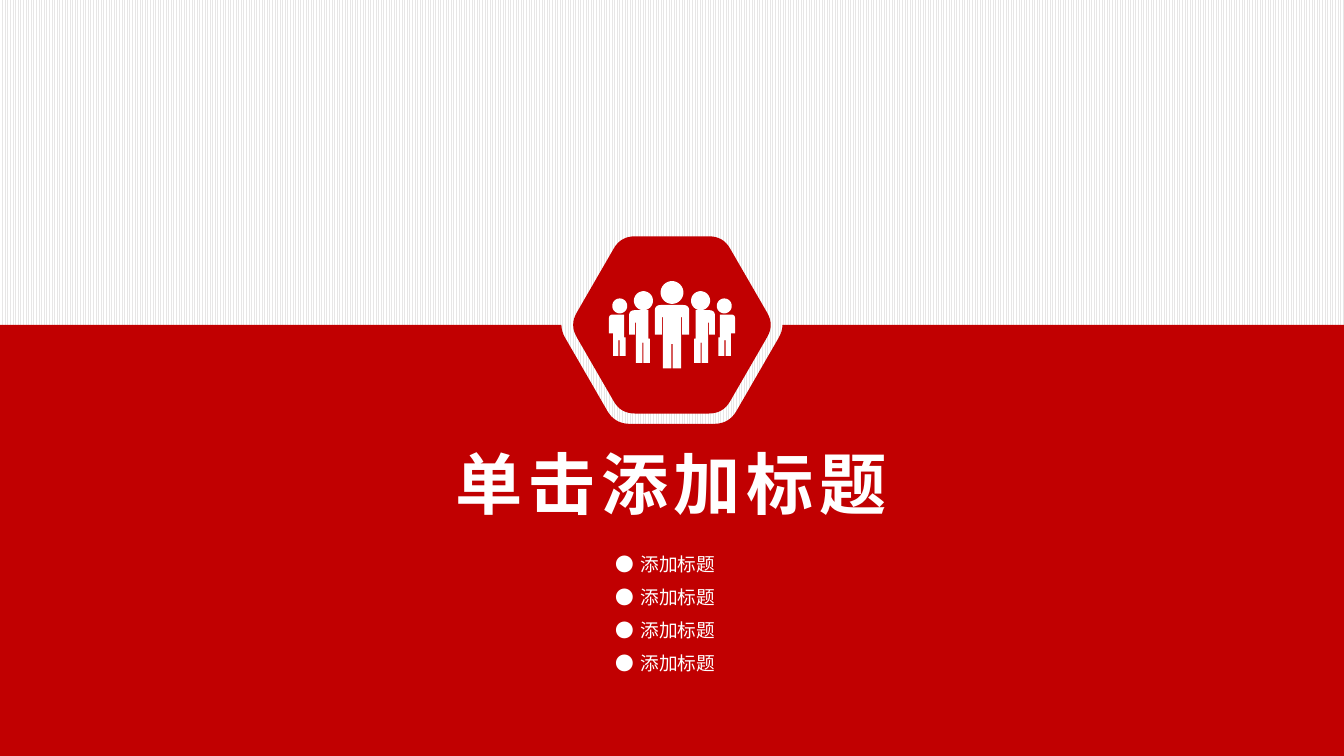
"""Build a red section slide with a team emblem, a title and four bullet lines."""
from dataclasses import dataclass
from math import cos, pi, radians, sin

from lxml.etree import SubElement
from pptx import Presentation
from pptx.dml.color import RGBColor
from pptx.enum.dml import MSO_PATTERN
from pptx.enum.text import MSO_ANCHOR as Anchor, PP_ALIGN as Align
from pptx.oxml.ns import qn
from pptx.util import Pt


@dataclass(frozen=True)
class Theme:
    red: RGBColor = RGBColor(0xC1, 0x00, 0x01)
    white: RGBColor = RGBColor(0xFF, 0xFF, 0xFF)
    stripe: RGBColor = RGBColor(0xE7, 0xE6, 0xE6)
    font: str = "Noto Sans CJK SC"
    title_size: int = 36
    item_size: int = 10


theme = Theme()
WIDTH, HEIGHT = 720, 405
MIDDLE_X, MIDDLE_Y = 360, 174.1

deck = Presentation()
deck.slide_width, deck.slide_height = Pt(WIDTH), Pt(HEIGHT)
page = deck.slides.add_slide(deck.slide_layouts[6])
backdrop = page.background.fill
backdrop.patterned()
backdrop.pattern = MSO_PATTERN.NARROW_VERTICAL
backdrop.fore_color.rgb = theme.stripe
backdrop.back_color.rgb = theme.white


def round_corners(corners, steps=8):
    """Replace each (x, y, cut) corner by a curve that starts cut points before it."""
    outline = []
    for index, (x, y, cut) in enumerate(corners):
        if not cut:
            outline.append((x, y))
            continue
        ends = []
        for near_x, near_y, _ in (corners[index - 1], corners[(index + 1) % len(corners)]):
            share = cut / ((near_x - x) ** 2 + (near_y - y) ** 2) ** 0.5
            ends.append((x + (near_x - x) * share, y + (near_y - y) * share))
        (start_x, start_y), (end_x, end_y) = ends
        for step in range(steps + 1):
            t = step / steps
            before, at, after = (1 - t) ** 2, 2 * t * (1 - t), t * t
            outline.append((before * start_x + at * x + after * end_x,
                            before * start_y + at * y + after * end_y))
    return outline


def draw_outlines(outlines, color):
    """Draw closed outlines, given in points, as one filled freeform."""
    scaled = [[(Pt(x), Pt(y)) for x, y in outline] for outline in outlines]
    builder = page.shapes.build_freeform(*scaled[0][0])
    for index, outline in enumerate(scaled):
        if index:
            builder.move_to(*outline[0])
        builder.add_line_segments(outline[1:], close=True)
    shape = builder.convert_to_shape()
    shape.shadow.inherit = False
    shape.fill.solid()
    shape.fill.fore_color.rgb = color
    shape.line.fill.background()


hexagons = []
for radius, cut in ((61.2, 8), (54.8, 7.5)):
    hexagons.append(round_corners([
        (MIDDLE_X + radius * cos(radians(angle)), MIDDLE_Y + radius * sin(radians(angle)), cut)
        for angle in range(180, -180, -60)]))
notch, badge = hexagons
lower_notch = [(x, y) for x, y in notch if y > MIDDLE_Y - 0.01]
draw_outlines([[(0, MIDDLE_Y), *lower_notch, (WIDTH, MIDDLE_Y), (WIDTH, HEIGHT), (0, HEIGHT)]],
              theme.red)
draw_outlines([badge], theme.red)

leader_half = [(9.2, 163.4, 3.2), (9.2, 179.3, 0), (5.4, 179.3, 0), (5.4, 169.9, 0),
               (4.9, 169.9, 0), (4.9, 197.4, 0), (0.4, 197.4, 0), (0.4, 184.3, 0)]
leader = leader_half + [(-x, y, cut) for x, y, cut in reversed(leader_half)]
inner_mate = [(12.7, 166.2, 0), (23, 166.2, 3), (23, 179.3, 0), (19.9, 179.3, 0),
              (19.9, 172.8, 0), (19.4, 172.8, 0), (19.4, 194.4, 0), (15.9, 194.4, 0),
              (15.9, 183.6, 0), (15.3, 183.6, 0), (15.3, 194.4, 0), (11.8, 194.4, 0),
              (11.8, 181.4, 0), (12.7, 181.4, 0)]
outer_mate = [(25.7, 168.5, 0), (33.8, 168.5, 2.2), (33.8, 178.6, 0), (31.6, 178.6, 0),
              (31.6, 190.7, 0), (28.7, 190.7, 0), (28.7, 182.2, 0), (28, 182.2, 0),
              (28, 190.7, 0), (24.9, 190.7, 0), (24.9, 180.7, 0), (25.7, 180.7, 0)]
team = []
for body, head_x, head_y, head_radius, sides in (
        (leader, 0, 156.7, 6.1, (1,)),
        (inner_mate, 15.3, 161.1, 5.1, (-1, 1)),
        (outer_mate, 28, 163.9, 4, (-1, 1))):
    for side in sides:
        team.append([(MIDDLE_X + side * x, y) for x, y in round_corners(body)])
        team.append([(MIDDLE_X + side * head_x + head_radius * cos(step * pi / 20),
                      head_y + head_radius * sin(step * pi / 20)) for step in range(40)])
draw_outlines(team, theme.white)

texts = [("单击添加标题", 233.5, 234, 252.5, 49, True)]
texts += [("添加标题", 329.8, 296 + 17.7 * row, 92, 12.2, False) for row in range(4)]
for text, left, top, width, height, is_title in texts:
    box = page.shapes.add_textbox(Pt(left), Pt(top), Pt(width), Pt(height))
    frame = box.text_frame
    frame.word_wrap = True
    frame.vertical_anchor = Anchor.MIDDLE
    frame.margin_left = frame.margin_right = Pt(5 if is_title else 0)
    frame.margin_top = frame.margin_bottom = Pt(3 if is_title else 0)
    frame.text = text
    para = frame.paragraphs[0]
    span = para.runs[0]
    span.font.name = theme.font
    span.font.size = Pt(theme.title_size if is_title else theme.item_size)
    span.font.bold = is_title
    span.font.color.rgb = theme.white
    span_style = span._r.get_or_add_rPr()
    SubElement(span_style, qn("a:ea"), typeface=theme.font)
    if is_title:
        para.alignment = Align.CENTER
        span_style.set("spc", "300")
    else:
        para_style = para._p.get_or_add_pPr()
        para_style.set("marL", str(Pt(13.5)))
        para_style.set("indent", str(-Pt(13.5)))
        SubElement(para_style, qn("a:buFont"), typeface=theme.font)
        SubElement(para_style, qn("a:buChar"), char="●")

deck.save("out.pptx")
